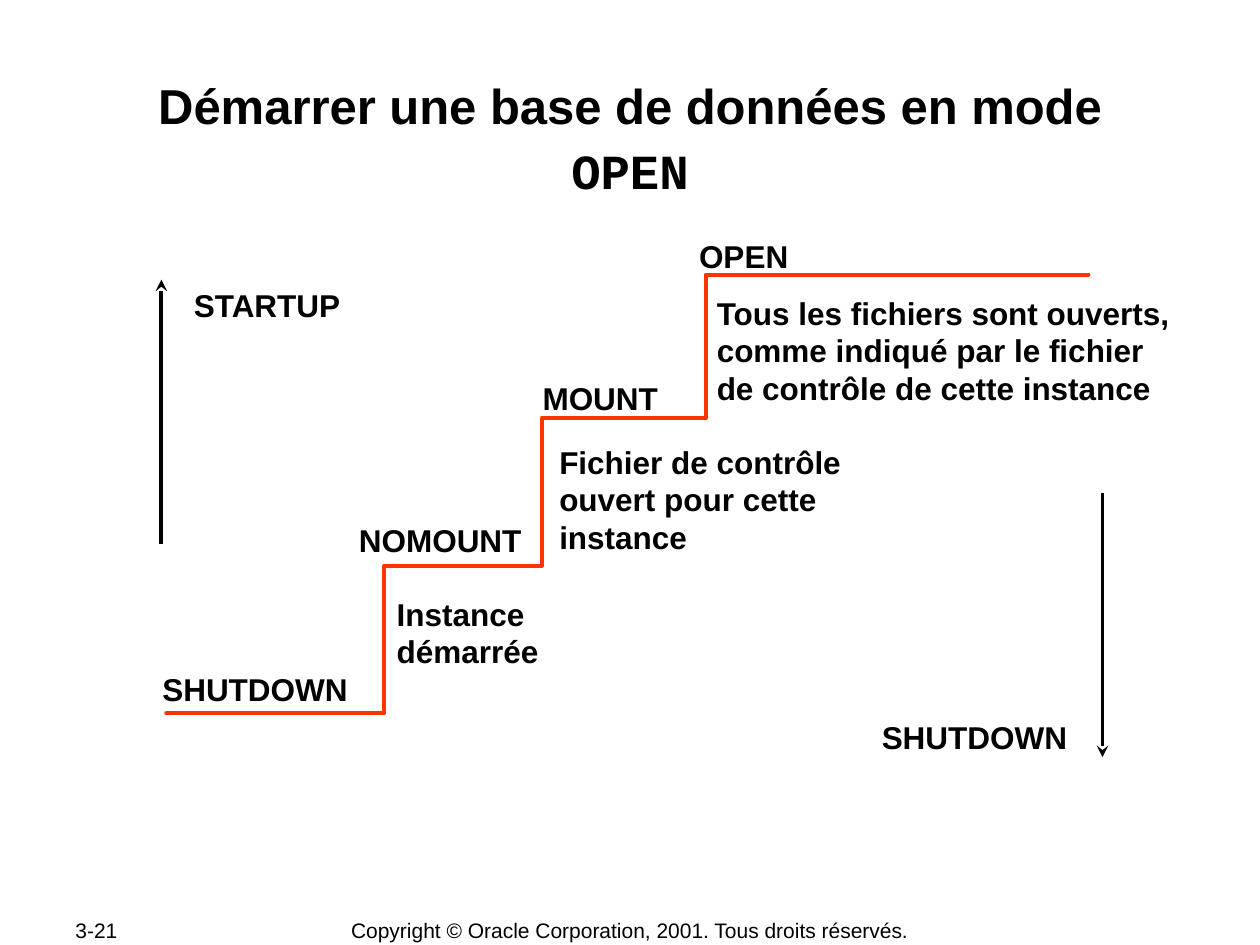
from pptx import Presentation
from pptx.dml.color import RGBColor
from pptx.enum.shapes import MSO_CONNECTOR
from pptx.enum.text import MSO_ANCHOR, PP_ALIGN
from pptx.oxml.ns import qn
from pptx.util import Pt
from lxml import etree

LEFT, CENTER = PP_ALIGN.LEFT, PP_ALIGN.CENTER
TOP, MIDDLE = MSO_ANCHOR.TOP, MSO_ANCHOR.MIDDLE
LINE = MSO_CONNECTOR.STRAIGHT
BLACK, RED = "000000", "FF3300"
SANS, MONO = "Arial", "Courier New"

# Stair corners: step edges from left to right, levels from bottom to top
EDGES = [95, 219.6, 309.6, 403.2, 622]
LEVELS = [407.6, 323.3, 239, 157]

# Text, left, top, width, height
LABELS = [
    ("OPEN", 392.4, 132, 94, 29),
    ("MOUNT", 303, 213, 117, 29),
    ("NOMOUNT", 198, 294, 114, 29),
    ("SHUTDOWN", 85.7, 379.5, 130, 29),
    ("Tous les fichiers sont ouverts, comme indiqué par le fichier "
     "de contrôle de cette instance", 402.5, 164.5, 276, 72),
    ("Fichier de contrôle ouvert pour cette instance",
     312.5, 249.5, 179, 72),
    ("Instance démarrée", 219.6, 336.5, 136, 50),
    ("STARTUP", 103.7, 160, 110, 29),
    ("SHUTDOWN", 496.8, 407, 130, 29),
]


def color(code):
    return RGBColor.from_string(code)


def write(frame, runs, size=18, bold=True, align=LEFT, anchor=TOP,
          space=None, inset=(7.2, 3.6)):
    """Fill a text frame with one paragraph of (text, font) runs."""
    frame.word_wrap = True
    frame.vertical_anchor = anchor
    frame.margin_left = frame.margin_right = Pt(inset[0])
    frame.margin_top = frame.margin_bottom = Pt(inset[1])
    para = frame.paragraphs[0]
    para.alignment = align
    para.space_before = Pt(0)
    if space:
        para.line_spacing = Pt(space)
    for text, name in runs:
        run = para.add_run()
        run.text = text
        font = run.font
        font.name, font.size, font.bold = name, Pt(size), bold
        font.color.rgb = color(BLACK)


def place(shape, left, top, width, height):
    shape.left, shape.top = Pt(left), Pt(top)
    shape.width, shape.height = Pt(width), Pt(height)


def add_title(slide, runs):
    title = slide.shapes.title
    place(title, 72, 39, 576, 75)
    write(title.text_frame, runs, size=28, align=CENTER, space=37,
          inset=(0.7, 0.7))


def add_text(slide, text, *box, **form):
    shape = slide.shapes.add_textbox(*map(Pt, box))
    write(shape.text_frame, [(text, SANS)], **form)


def add_arrow(slide, x, start, end):
    arrow = slide.shapes.add_connector(LINE, Pt(x), Pt(start), Pt(x), Pt(end))
    arrow.line.width = Pt(2.25)
    arrow.line.color.rgb = color(BLACK)
    props = arrow.element.spPr
    etree.SubElement(props.find(qn("a:ln")), qn("a:tailEnd"), type="stealth")
    etree.SubElement(props, qn("a:effectLst"))


def add_stairs(slide):
    points = []
    for step, level in enumerate(LEVELS):
        points += [(EDGES[step], level), (EDGES[step + 1], level)]
    start, *rest = [(Pt(x), Pt(y)) for x, y in points]
    path = slide.shapes.build_freeform(*start)
    path.add_line_segments(rest, close=False)
    stairs = path.convert_to_shape()
    stairs.shadow.inherit = False
    stairs.fill.background()
    stairs.line.width = Pt(2.25)
    stairs.line.color.rgb = color(RED)
    stairs.element.spPr.find(qn("a:ln")).set("cap", "rnd")


def main():
    deck = Presentation()
    deck.slide_width, deck.slide_height = Pt(720), Pt(540)
    slide = deck.slides.add_slide(deck.slide_layouts[5])

    add_title(slide, [("Démarrer une base de données en mode ", SANS),
                      ("OPEN", MONO)])
    add_arrow(slide, 630, 281.5, 432.7)
    add_stairs(slide)
    for text, *box in LABELS:
        add_text(slide, text, *box, space=21.5)
    add_arrow(slide, 92.2, 311, 159.8)

    small = {"size": 12, "bold": False, "anchor": MIDDLE}
    add_text(slide, "3-21", 36, 524, 76, 15, **small)
    add_text(slide,
             "Copyright © Oracle Corporation, 2001. Tous droits réservés.",
             190, 524, 340, 15, align=CENTER, **small)
    deck.save("out.pptx")


if __name__ == "__main__":
    main()
